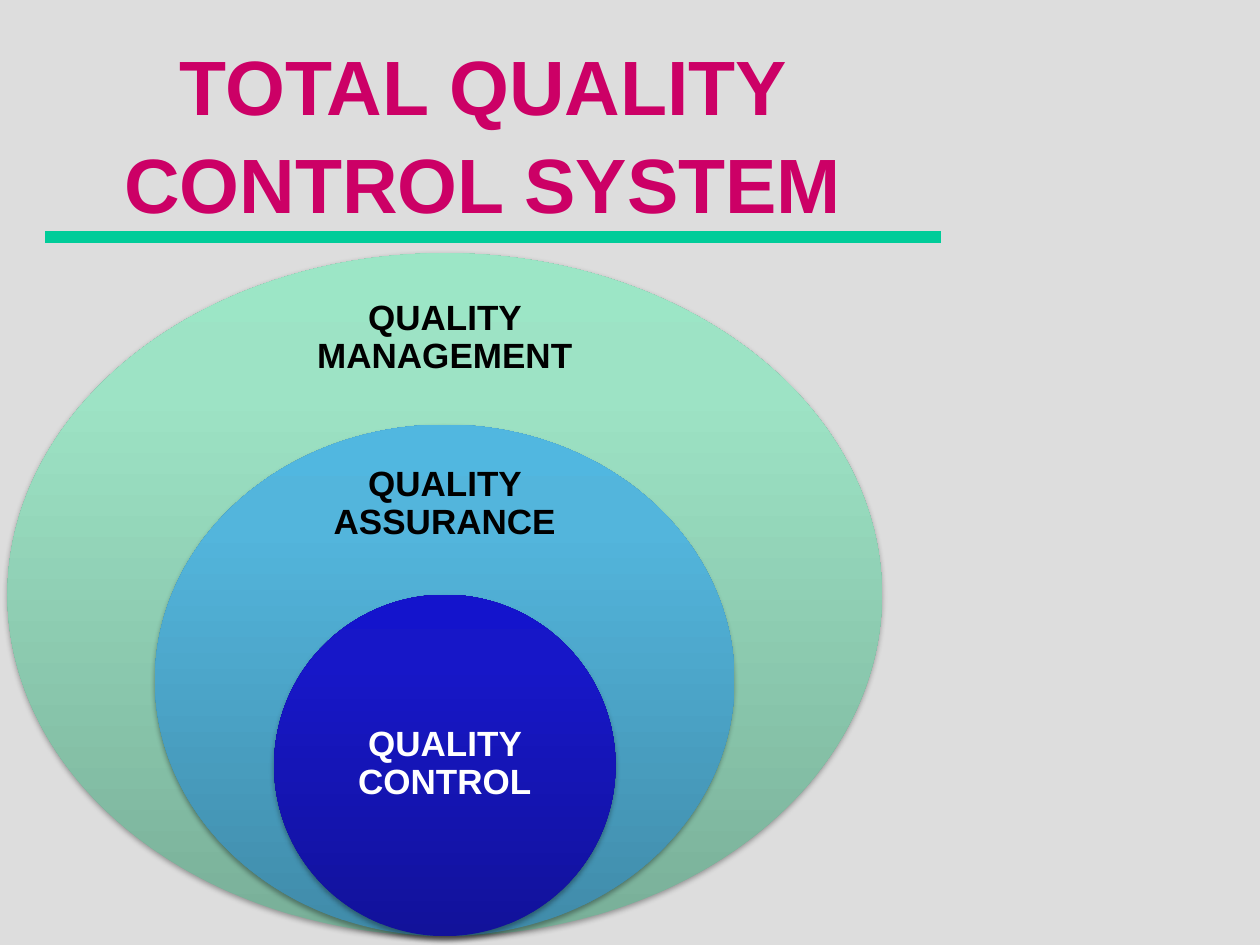
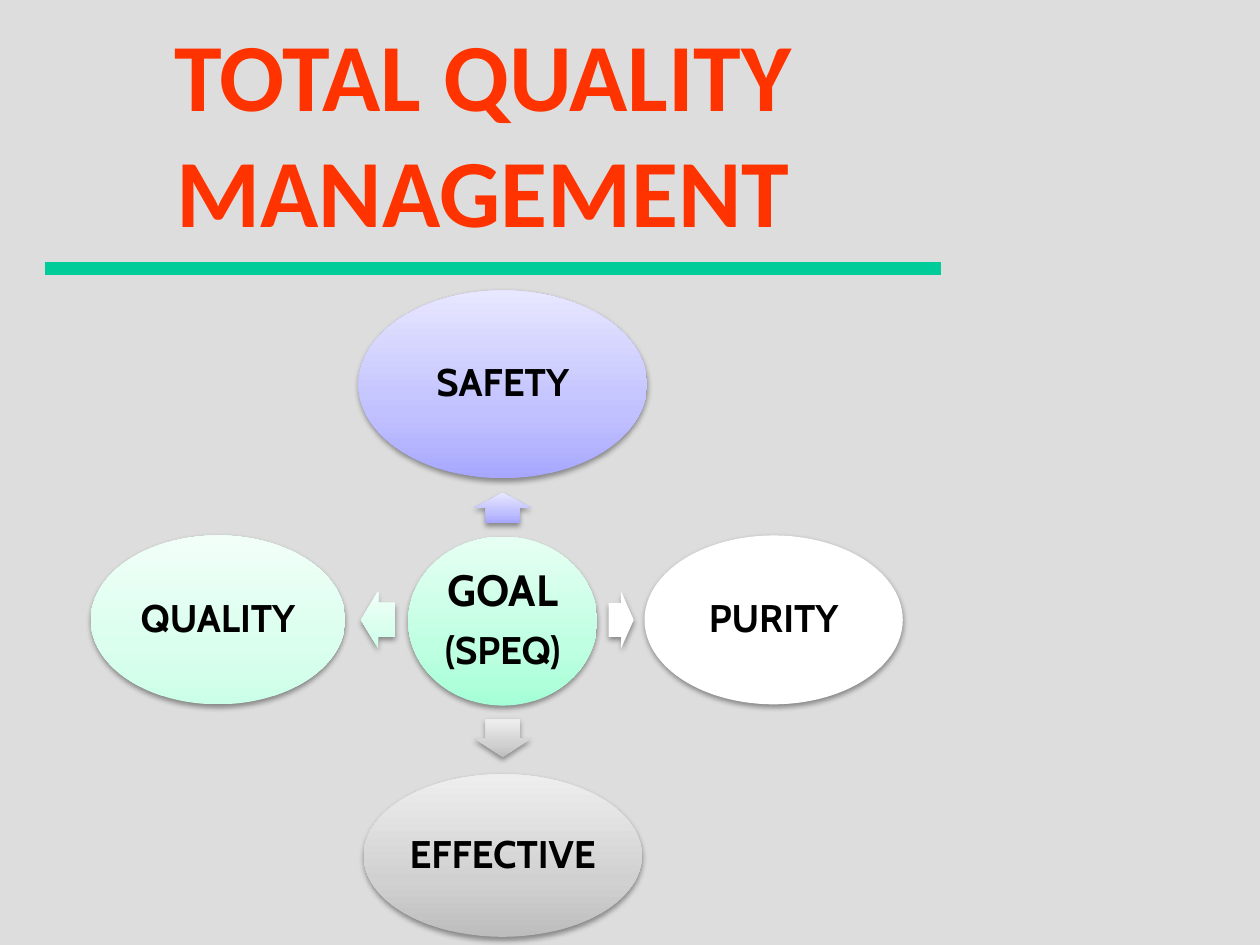
from lxml.etree import SubElement
from pptx import Presentation
from pptx.dml.color import RGBColor
from pptx.enum.shapes import MSO_SHAPE as Preset
from pptx.enum.text import MSO_ANCHOR as Anchor, PP_ALIGN as Align
from pptx.oxml.ns import qn
from pptx.util import Pt

PX = 9144  # EMU per px, at 100 px to the inch
SLIDE_SIZE = (1000, 750)
TITLE_BOX = (25, 25, 717, 158)
RULE_LEFT, RULE_WIDTH, RULE_HEIGHT = -92, 967, 42

GREY = RGBColor(0xDD, 0xDD, 0xDD)
TEAL = RGBColor(0x00, 0xCC, 0x99)
MAGENTA = RGBColor(0xCC, 0x00, 0x66)
ORANGE = RGBColor(0xFF, 0x33, 0x00)
BLACK = RGBColor(0x00, 0x00, 0x00)
WHITE = RGBColor(0xFF, 0xFF, 0xFF)


def gradient(middle, *colours):
    """Three stops from bottom to top, the second one at `middle` percent."""
    return list(zip((0, middle, 100), map(RGBColor.from_string, colours)))


MINT = gradient(80, "79AF98", "9DE3C5", "9CE6C6")
SKY = gradient(80, "408BA9", "53B5DC", "51B7E0")
NAVY = gradient(80, "12129A", "1717C8", "1414CC")
AQUA = gradient(35, "A5FFD6", "BFFFE2", "E7FFF3")
LILAC = gradient(35, "A7A7FF", "C1C1FF", "E7E7FF")
SILVER = gradient(35, "BDBDBD", "D1D1D1", "EEEEEE")
PALE_MINT = gradient(35, "CCFFE8", "DAFFEE", "F1FFF8")

# Rings share one centre line and one bottom edge.
RING_CENTRE, RING_BOTTOM = 353, 743
RINGS = [  # label, ring size, label top, label size, fill, text colour
    ("QUALITY MANAGEMENT", (694, 542), 228, (243, 81), MINT, BLACK),
    ("QUALITY ASSURANCE", (460, 406), 362, (214, 76), SKY, BLACK),
    ("QUALITY CONTROL", (271, 271), 539, (192, 135), NAVY, WHITE),
]

GOAL = [("GOAL", 25), ("(SPEQ)", 22)]
GOAL_CENTRE, GOAL_SIZE = (399, 493), (150, 134)
ARROW_THICKNESS = 45
ASPECTS = [  # label, centre, size, arrow centre, arrow length, rotation, fill
    ("SAFETY", (399, 305), (229, 149), (399, 403), 24, 270, LILAC),
    ("PURITY", (614, 492), (205, 134), (493, 492), 20, 0, WHITE),
    ("EFFECTIVE", (399, 679), (221, 129), (399, 586), 30, 90, SILVER),
    ("QUALITY", (173, 492), (202, 134), (300, 492), 27, 180, PALE_MINT),
]


def emu(box):
    return [round(length * PX) for length in box]


def centred(centre, size):
    return (centre[0] - size[0] / 2, centre[1] - size[1] / 2, *size)


def add_colour(parent, colour):
    return SubElement(parent, qn("a:srgbClr"), val=str(colour))


def add_figure(slide, preset, box, fill, shadow_opacity=0, rotation=0):
    figure = slide.shapes.add_shape(preset, *emu(box))
    figure.rotation = rotation
    figure.line.fill.background()
    figure.shadow.inherit = False
    properties = figure._element.spPr
    if isinstance(fill, RGBColor):
        figure.fill.solid()
        figure.fill.fore_color.rgb = fill
    else:
        figure.fill.gradient()
        figure.fill.gradient_angle = 90
        shading = properties.find(qn("a:gradFill"))
        shading.set("rotWithShape", "0")
        stops = shading.find(qn("a:gsLst"))
        stops.clear()
        for percent, colour in fill:
            add_colour(SubElement(stops, qn("a:gs"), pos=str(percent * 1000)), colour)
    if shadow_opacity:
        shadow = SubElement(properties.find(qn("a:effectLst")), qn("a:outerShdw"),
                            blurRad=str(Pt(3.1)), dist=str(Pt(1.7)), dir="5400000",
                            rotWithShape="0")
        SubElement(add_colour(shadow, BLACK), qn("a:alpha"), val=str(shadow_opacity * 1000))
    return figure


def add_text(slide, lines, box, font, colour=BLACK, inset=None, spacing=0.9, after=0.35):
    """Write (text, size) lines; `after` is the gap as a share of the size."""
    text_box = slide.shapes.add_textbox(*emu(box))
    frame = text_box.text_frame
    frame.word_wrap = True
    frame.vertical_anchor = Anchor.MIDDLE
    if inset is not None:
        frame.margin_left = frame.margin_right = inset * PX
        frame.margin_top = frame.margin_bottom = inset * PX
    for number, (text, size) in enumerate(lines):
        paragraph = frame.add_paragraph() if number else frame.paragraphs[0]
        paragraph.alignment = Align.CENTER
        paragraph.line_spacing = spacing
        paragraph.space_after = Pt(after * size)
        run = paragraph.add_run()
        run.text = text
        run.font.name, run.font.size, run.font.bold = font, Pt(size), True
        run.font.color.rgb = colour


def add_titled_slide(deck, title, size, font, colour, rule_top, spacing=1.0):
    slide = deck.slides.add_slide(deck.slide_layouts[6])
    add_text(slide, [(title, size)], TITLE_BOX, font, colour, spacing=spacing, after=0)
    add_figure(slide, Preset.MATH_MINUS, (RULE_LEFT, rule_top, RULE_WIDTH, RULE_HEIGHT), TEAL)
    return slide


def add_control_system(deck):
    slide = add_titled_slide(deck, "TOTAL QUALITY CONTROL SYSTEM", 44, "Arial", MAGENTA,
                             rule_top=167, spacing=1.06)
    for label, (width, height), label_top, label_size, fill, colour in RINGS:
        ring = (RING_CENTRE - width / 2, RING_BOTTOM - height, width, height)
        add_figure(slide, Preset.OVAL, ring, fill, shadow_opacity=35)
        label_box = (RING_CENTRE - label_size[0] / 2, label_top, *label_size)
        add_text(slide, [(label, 20)], label_box, "Arial", colour, inset=16)


def add_bubble(slide, lines, centre, size, fill):
    """Draw an ellipse with its text in the rectangle inscribed in it."""
    add_figure(slide, Preset.OVAL, centred(centre, size), fill, shadow_opacity=38)
    inscribed = [side / 2 ** 0.5 for side in size]
    add_text(slide, lines, centred(centre, inscribed), "Cabin", inset=3)


def add_management(deck):
    slide = add_titled_slide(deck, "TOTAL QUALITY MANAGEMENT", 55, "Calibri", ORANGE,
                             rule_top=192)
    add_bubble(slide, GOAL, GOAL_CENTRE, GOAL_SIZE, AQUA)
    for label, centre, size, arrow_centre, length, rotation, fill in ASPECTS:
        arrow = add_figure(slide, Preset.RIGHT_ARROW,
                           centred(arrow_centre, (length, ARROW_THICKNESS)), fill,
                           shadow_opacity=38, rotation=rotation)
        arrow.adjustments[0], arrow.adjustments[1] = 0.6, 0.5
        add_bubble(slide, [(label, 22)], centre, size, fill)


def main():
    deck = Presentation()
    deck.slide_width, deck.slide_height = emu(SLIDE_SIZE)
    backdrop = deck.slide_master.background.fill
    backdrop.solid()
    backdrop.fore_color.rgb = GREY
    add_control_system(deck)
    add_management(deck)
    deck.save("out.pptx")


if __name__ == "__main__":
    main()
